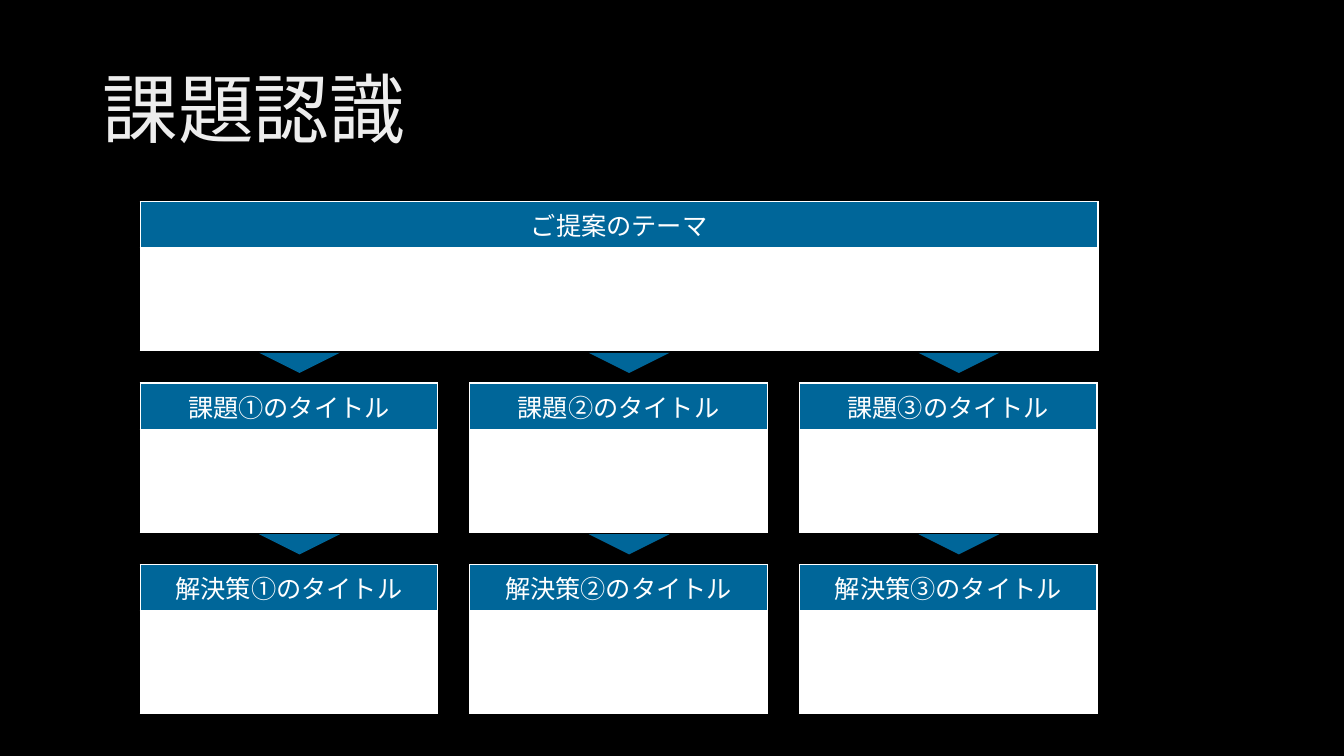
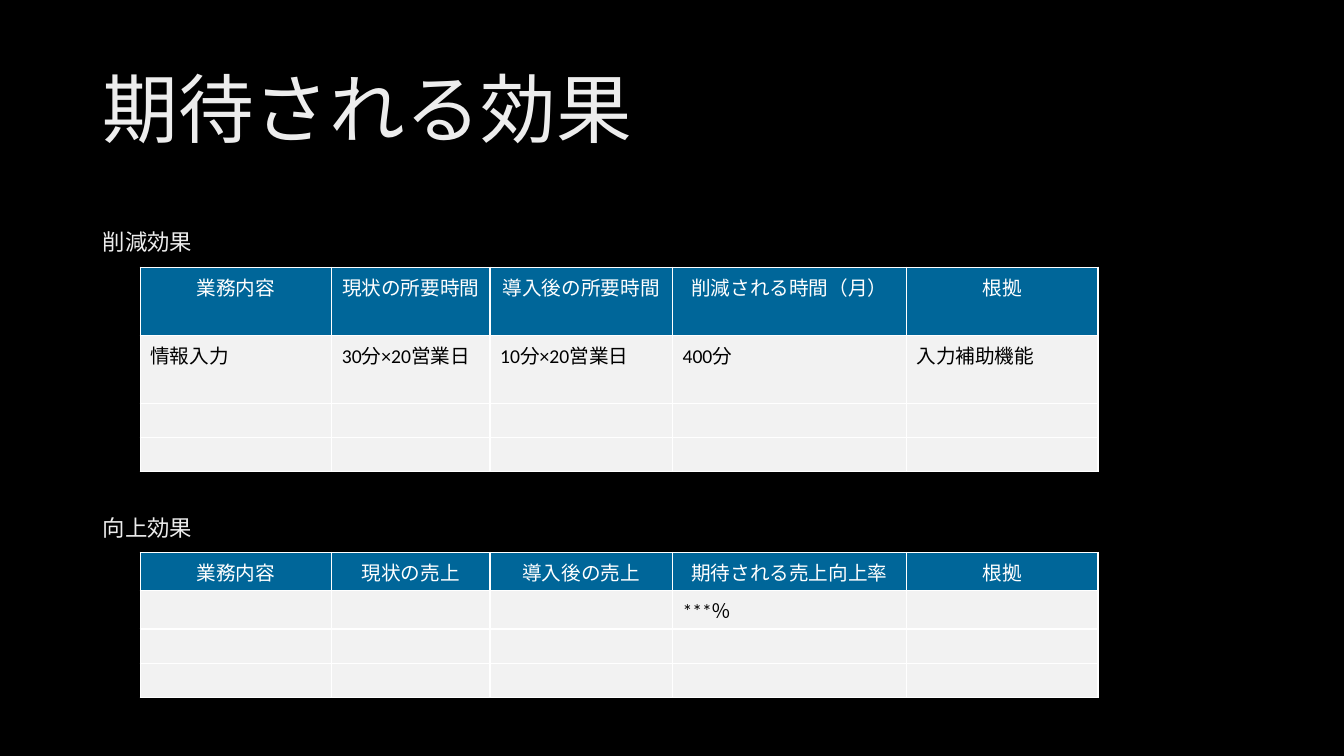
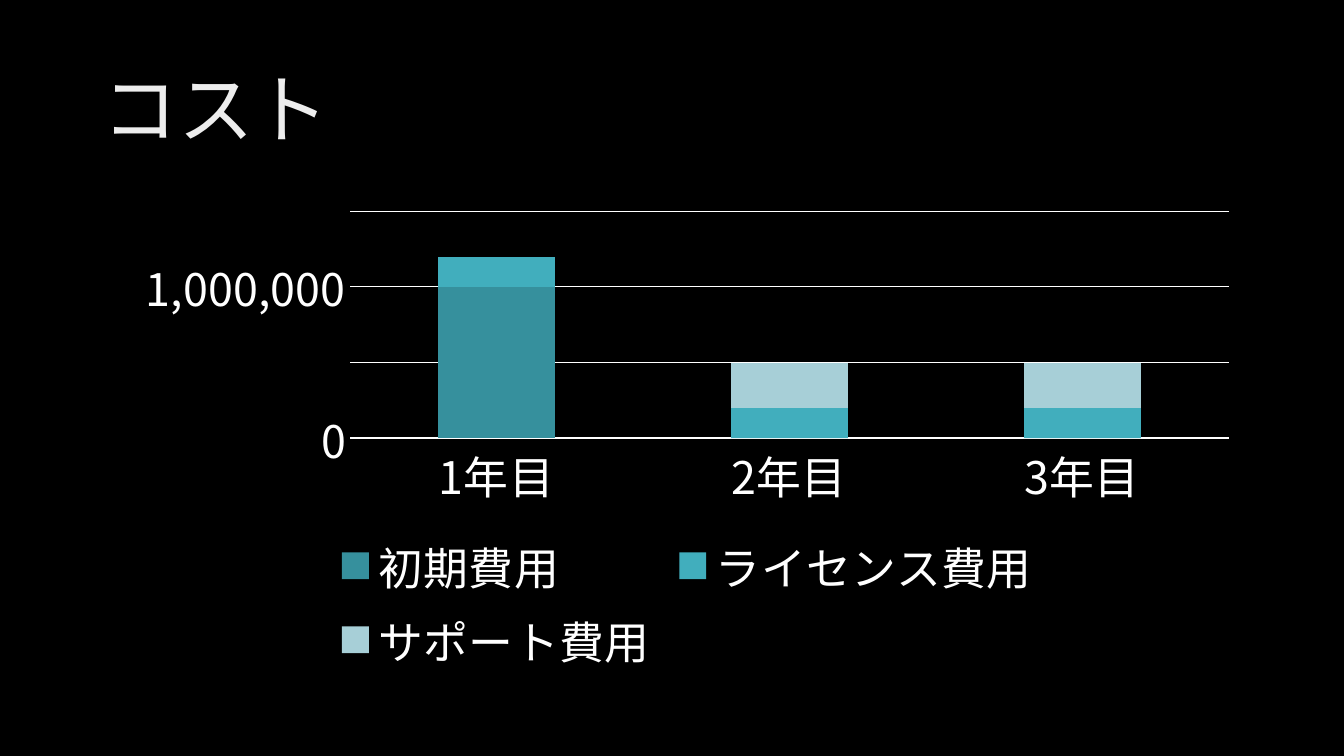
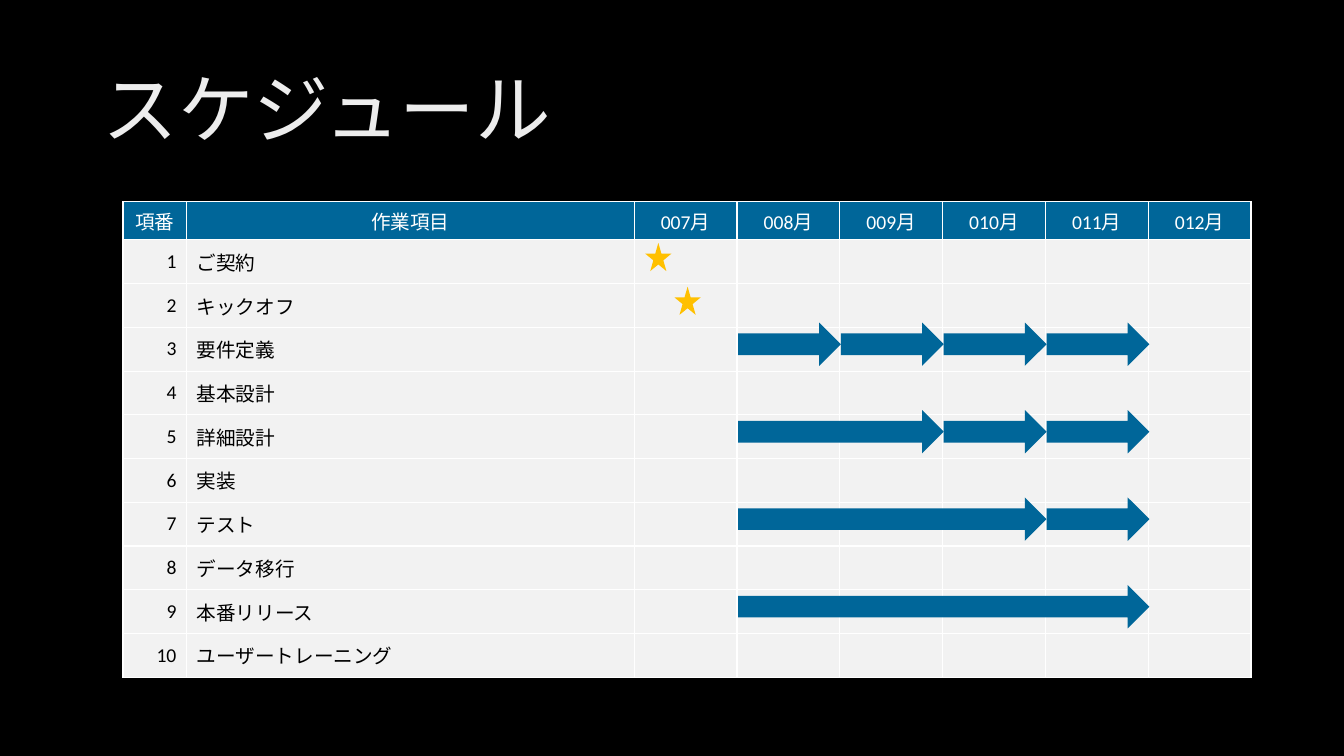
"""Build four proposal slides: issues, effects, cost and schedule."""
from lxml.etree import SubElement
from pptx import Presentation
from pptx.chart.data import CategoryChartData
from pptx.dml.color import RGBColor
from pptx.enum.chart import XL_CHART_TYPE, XL_LEGEND_POSITION, XL_TICK_MARK
from pptx.enum.lang import MSO_LANGUAGE_ID
from pptx.enum.shapes import MSO_SHAPE
from pptx.enum.text import MSO_ANCHOR, PP_ALIGN
from pptx.oxml.ns import qn
from pptx.util import Inches, Pt

BLACK = RGBColor(0x00, 0x00, 0x00)
WHITE = RGBColor(0xFF, 0xFF, 0xFF)
SILVER = RGBColor(0xED, 0xED, 0xED)
PALE = RGBColor(0xF2, 0xF2, 0xF2)
BLUE = RGBColor(0x00, 0x66, 0x99)
GOLD = RGBColor(0xFF, 0xC0, 0x00)
TEAL = RGBColor(0x36, 0x90, 0x9D)
AQUA = RGBColor(0x41, 0xAE, 0xBD)
MIST = RGBColor(0xA7, 0xCF, 0xD7)
FONT = "Calibri"
WIDE = "Noto Sans CJK JP"
LEFT, MID, RIGHT = PP_ALIGN.LEFT, PP_ALIGN.CENTER, PP_ALIGN.RIGHT


class Deck:
    def __init__(self):
        self.show = Presentation()
        self.show.slide_width = Inches(13.33)
        self.show.slide_height = Inches(7.5)
        fill = self.show.slide_master.background.fill
        fill.solid()
        fill.fore_color.rgb = BLACK

    def page(self, title):
        self.slide = self.show.slides.add_slide(self.show.slide_layouts[6])
        self.text(title, 0.92, 0.4, 11.5, 1.45, 54, MSO_ANCHOR.MIDDLE)

    def run(self, para, words, size, color):
        run = para.add_run()
        run.text = words
        font = run.font
        font.name, font.size = FONT, Pt(size)
        font.color.rgb = color
        font.language_id = MSO_LANGUAGE_ID.JAPANESE

    def text(self, words, x, y, w, h, size, anchor):
        box = self.slide.shapes.add_textbox(Inches(x), Inches(y), Inches(w), Inches(h))
        frame = box.text_frame
        frame.word_wrap = True
        frame.vertical_anchor = anchor
        para = frame.paragraphs[0]
        para.line_spacing = 0.9
        self.run(para, words, size, SILVER)

    def shape(self, kind, x, y, w, h, color, turn=0):
        form = self.slide.shapes.add_shape(kind, Inches(x), Inches(y), Inches(w), Inches(h))
        form.shadow.inherit = False
        form.fill.solid()
        form.fill.fore_color.rgb = color
        form.line.fill.background()
        form.rotation = turn

    def edge(self, cell):
        props = cell._tc.get_or_add_tcPr()
        for side in ("a:lnL", "a:lnR", "a:lnT", "a:lnB"):
            line = SubElement(props, qn(side), w=str(Pt(1)))
            solid = SubElement(line, qn("a:solidFill"))
            SubElement(solid, qn("a:srgbClr"), val=str(WHITE))

    def cell(self, cell, words, size, ink, fill, align, anchor):
        self.edge(cell)
        cell.fill.solid()
        cell.fill.fore_color.rgb = fill
        cell.vertical_anchor = anchor
        para = cell.text_frame.paragraphs[0]
        para.alignment = align
        if words:
            self.run(para, words, size, ink)
        else:
            SubElement(para._p, qn("a:endParaRPr"), sz=str(size * 100))

    def table(self, x, y, cols, rows, cells, size=14, body=PALE,
              aligns=None, anchor=MSO_ANCHOR.TOP):
        frame = self.slide.shapes.add_table(
            len(rows), len(cols), Inches(x), Inches(y), Inches(sum(cols)), Inches(sum(rows)))
        grid = frame.table
        for col, width in zip(grid.columns, cols):
            col.width = Inches(width)
        for r, high in enumerate(rows):
            grid.rows[r].height = Inches(high)
            line = cells[r] if r < len(cells) else []
            for c in range(len(cols)):
                words = line[c] if c < len(line) else ""
                if r == 0:
                    ink, fill, align = WHITE, BLUE, MID
                else:
                    ink, fill, align = BLACK, body, (aligns or {}).get(c, LEFT)
                self.cell(grid.cell(r, c), words, size, ink, fill, align, anchor)

    def card(self, title, x, y, w):
        self.table(x, y, [w], [0.46, 1.02], [[title]], 18, WHITE)

    def style(self, font):
        font.name, font.size = WIDE, Pt(32)
        font.color.rgb = WHITE

    def chart(self, x, y, w, h, cats, series, top, step):
        data = CategoryChartData(number_format="#,##0")
        data.categories = cats
        for name, vals, _ in series:
            data.add_series(name, vals)
        chart = self.slide.shapes.add_chart(
            XL_CHART_TYPE.COLUMN_STACKED, Inches(x), Inches(y), Inches(w), Inches(h), data).chart
        self.style(chart.font)
        chart.has_title = False
        chart.has_legend = True
        chart.legend.position = XL_LEGEND_POSITION.BOTTOM
        chart.legend.include_in_layout = False
        self.style(chart.legend.font)
        plot = chart.plots[0]
        plot.gap_width, plot.overlap = 150, 100
        plot.vary_by_categories = False
        for item, (_, _, color) in zip(plot.series, series):
            item.format.fill.solid()
            item.format.fill.fore_color.rgb = color
        for axis in (chart.category_axis, chart.value_axis):
            axis.major_tick_mark = axis.minor_tick_mark = XL_TICK_MARK.NONE
            self.style(axis.tick_labels.font)
        base = chart.category_axis.format.line
        base.color.rgb = WHITE
        base.width = Pt(1.25)
        scale = chart.value_axis
        scale.minimum_scale, scale.maximum_scale, scale.major_unit = 0, top, step
        scale.tick_labels.number_format = "#,##0"
        scale.tick_labels.number_format_is_linked = False
        scale.format.line.fill.background()
        grid = scale.major_gridlines.format.line
        grid.color.rgb = WHITE
        grid.width = Pt(0.75)


def issues(deck):
    deck.page("課題認識")
    deck.card("ご提案のテーマ", 1.39, 2, 9.5)
    for col, mark in enumerate("①②③"):
        x = 1.39 + 3.27 * col
        for row, kind in enumerate(("課題", "解決策")):
            y = 3.8 + 1.8 * row
            deck.shape(MSO_SHAPE.ISOSCELES_TRIANGLE, x + 1.18, y - 0.3, 0.8, 0.2, BLUE, 180)
            deck.card(f"{kind}{mark}のタイトル", x, y, 2.95)


def effects(deck):
    deck.page("期待される効果")
    cols = [1.9, 1.57, 1.81, 2.32, 1.9]
    parts = [
        ("削減効果", 2.1, 2.65, [0.68, 0.67, 0.34, 0.34],
         [["業務内容", "現状の所要時間", "導入後の所要時間", "削減される時間（月）", "根拠"],
          ["情報入力", "30分×20営業日", "10分×20営業日", "400分", "入力補助機能"]]),
        ("向上効果", 4.94, 5.48, [0.38, 0.38, 0.34, 0.34],
         [["業務内容", "現状の売上", "導入後の売上", "期待される売上向上率", "根拠"],
          ["", "", "", "***％"]]),
    ]
    for name, high, top, rows, cells in parts:
        deck.text(name, 0.92, high, 2.21, 0.48, 16, MSO_ANCHOR.BOTTOM)
        deck.table(1.39, top, cols, rows, cells)


def cost(deck):
    deck.page("コスト")
    deck.chart(1.22, 2, 11.19, 4.76, ["1年目", "2年目", "3年目"], [
        ("初期費用", [1000000, 0, 0], TEAL),
        ("ライセンス費用", [200000, 200000, 200000], AQUA),
        ("サポート費用", [None, 300000, 300000], MIST),
    ], 1500000, 500000)


def plan(deck):
    deck.page("スケジュール")
    tasks = ["ご契約", "キックオフ", "要件定義", "基本設計", "詳細設計", "実装",
             "テスト", "データ移行", "本番リリース", "ユーザートレーニング"]
    month, row = 1.02, 4.34 / 10
    head = ["項番", "作業項目"] + [f"{num:03}月" for num in range(7, 13)]
    cells = [head] + [[str(num), task] for num, task in enumerate(tasks, 1)]
    deck.table(1.22, 2, [0.63, 4.44] + [month] * 6, [0.38] + [row] * 10, cells,
               aligns={0: RIGHT}, anchor=MSO_ANCHOR.MIDDLE)
    for num in range(2):
        deck.shape(MSO_SHAPE.STAR_5_POINT, 6.4 + 0.29 * num, 2.41 + row * num, 0.26, 0.28, GOLD)
    for line in range(4):
        start = 0
        for span in [line + 1] + [1] * (3 - line):
            deck.shape(MSO_SHAPE.RIGHT_ARROW, 7.32 + month * start, 3.2 + 2 * row * line,
                       month * span, 0.43, BLUE)
            start += span


def main():
    deck = Deck()
    for build in (issues, effects, cost, plan):
        build(deck)
    deck.show.save("out.pptx")


if __name__ == "__main__":
    main()
